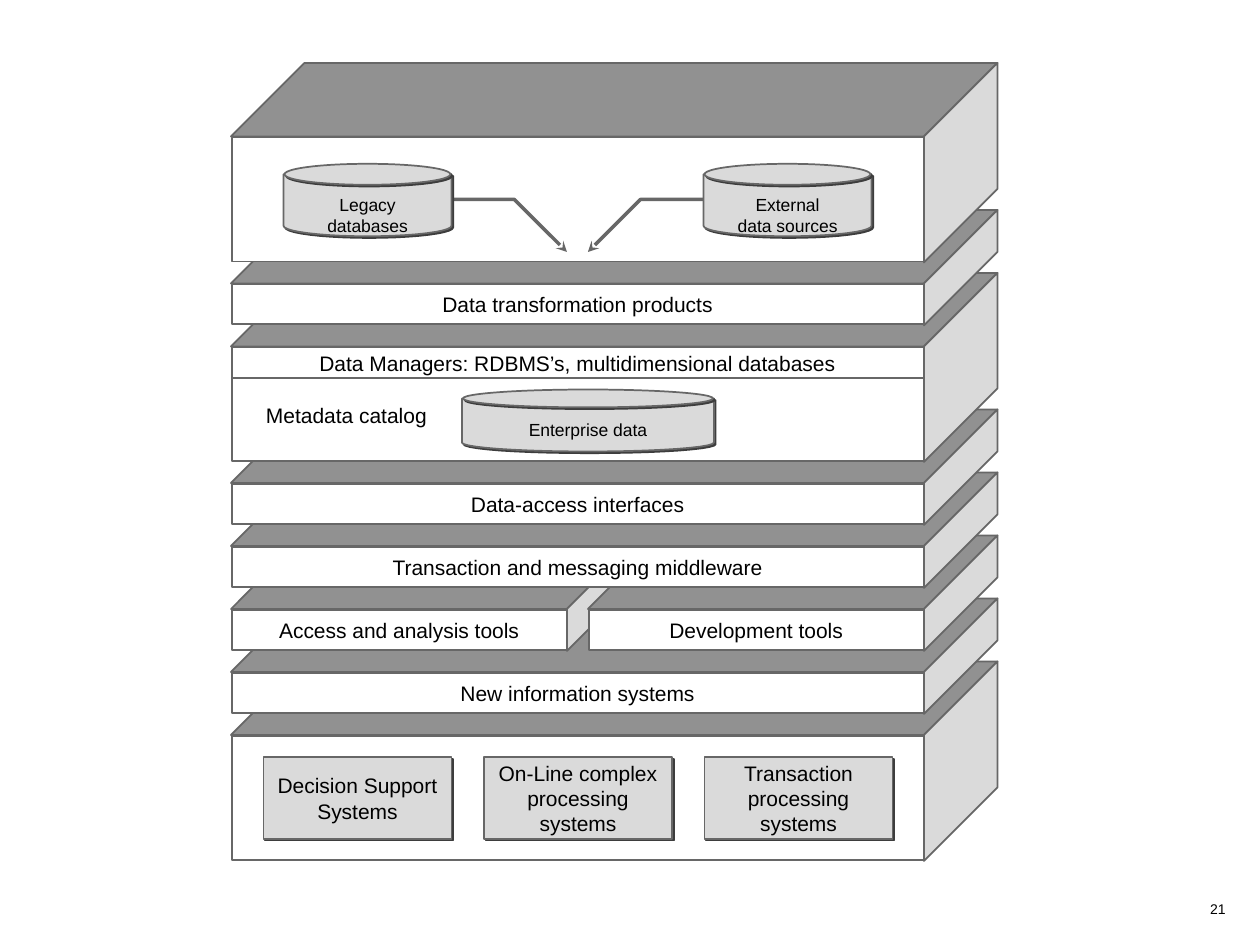
"""Build a layered data architecture slide from oblique slabs on a 120 by 90 grid."""
from dataclasses import dataclass
from math import cos, pi, sin

from lxml.etree import SubElement
from pptx import Presentation
from pptx.dml.color import RGBColor
from pptx.enum.shapes import MSO_SHAPE
from pptx.enum.text import MSO_ANCHOR, PP_ALIGN
from pptx.oxml.ns import qn
from pptx.util import Inches, Pt

COLORS = {"top": "919191", "side": "DADADA", "front": "FFFFFF",
          "line": "676767", "shadow": "3D3D3D", "text": "000000"}
FRAME = {"word_wrap": True, "vertical_anchor": MSO_ANCHOR.MIDDLE,
         "margin_left": Inches(0.05), "margin_right": Inches(0.05),
         "margin_top": Inches(0.05), "margin_bottom": Inches(0.05)}
COLS, ROWS = 120, 90
LEFT, WIDTH, DEPTH = 22, 66, 7
ARC_STEPS = 20

prs = Presentation()
prs.slide_width, prs.slide_height = Inches(10), Inches(7.5)
shapes = prs.slides.add_slide(prs.slide_layouts[6]).shapes


@dataclass
class Slab:
    row: float
    rows: float
    label: str = ""
    col: float = LEFT
    cols: float = WIDTH


@dataclass
class Cylinder:
    col: float
    row: float
    cols: float
    rows: float
    lid: float
    text_row: float
    label: str


def px(col: float) -> int:
    return round(prs.slide_width * col / COLS)


def py(row: float) -> int:
    return round(prs.slide_height * row / ROWS)


def style(sp, fill: str | None = None, weight: float = 1, shadow: bool = False) -> None:
    sp.shadow.inherit = False
    if fill:
        sp.fill.solid()
        sp.fill.fore_color.rgb = RGBColor.from_string(COLORS[fill])
    else:
        sp.fill.background()
    sp.line.color.rgb = RGBColor.from_string(COLORS["line"])
    sp.line.width = Pt(weight)
    if shadow:
        effects = sp._element.spPr.find(qn("a:effectLst"))
        outer = SubElement(effects, qn("a:outerShdw"), blurRad="0",
                           dist=str(Pt(1.4)), dir="2700000", rotWithShape="0")
        SubElement(outer, qn("a:srgbClr"), val=COLORS["shadow"])


def write(sp, text: str, size: float = 12) -> None:
    tf = sp.text_frame
    for name, value in FRAME.items():
        setattr(tf, name, value)
    tf.text = text
    for p in tf.paragraphs:
        p.alignment = PP_ALIGN.CENTER
        for r in p.runs:
            for name, value in {"name": "Arial", "size": Pt(size)}.items():
                setattr(r.font, name, value)
            r.font.color.rgb = RGBColor.from_string(COLORS["text"])


def add_text(col: float, row: float, cols: float, rows: float, text: str, size: float) -> None:
    write(shapes.add_textbox(px(col), py(row), px(cols), py(rows)), text, size)


def add_box(kind: MSO_SHAPE, col: float, row: float, cols: float, rows: float,
            fill: str | None, shadow: bool = False, label: str = "") -> None:
    sp = shapes.add_shape(kind, px(col), py(row), px(cols), py(rows))
    style(sp, fill, shadow=shadow)
    if label:
        write(sp, label)


def add_outline(points: list[tuple[float, float]], fill: str | None = None,
                weight: float = 1, shadow: bool = False, close: bool = True):
    spots = [(px(col), py(row)) for col, row in points]
    builder = shapes.build_freeform(*spots[0])
    builder.add_line_segments(spots[1:], close=close)
    sp = builder.convert_to_shape()
    style(sp, fill, weight, shadow)
    return sp


def draw_slab(s: Slab) -> None:
    right, back = s.col + s.cols, s.row - DEPTH
    add_outline([(s.col, s.row), (s.col + DEPTH, back), (right + DEPTH, back),
                 (right, s.row)], "top")
    add_outline([(right, s.row + s.rows), (right, s.row), (right + DEPTH, back),
                 (right + DEPTH, back + s.rows)], "side")
    add_box(MSO_SHAPE.RECTANGLE, s.col + 0.1, s.row + 0.1, s.cols - 0.15, s.rows - 0.2,
            "front", label=s.label)


def draw_cylinder(c: Cylinder) -> None:
    radius, half = c.cols / 2, c.lid / 2
    base = c.row + c.rows - half
    angles = [pi * i / ARC_STEPS for i in range(ARC_STEPS + 1)]
    arc = [(c.col + radius * (1 + cos(a)), base + half * sin(a)) for a in angles]
    top = c.row + half
    add_outline([(c.col + c.cols, top), *arc, (c.col, top)], "side", shadow=True)
    add_box(MSO_SHAPE.OVAL, c.col + 0.1, c.row, c.cols - 0.2, c.lid, "side", shadow=True)
    add_text(c.col, c.text_row, c.cols, 4, c.label, 10)


def draw_arrow(points: list[tuple[float, float]]) -> None:
    sp = add_outline(points, weight=2, close=False)
    SubElement(sp.line._get_or_add_ln(), qn("a:tailEnd"), type="stealth")


SLABS = [
    Slab(70, 12),
    Slab(64, 4, "New information systems"),
    Slab(58, 4, "Access and analysis tools", cols=32),
    Slab(58, 4, "Development tools", col=56, cols=32),
    Slab(52, 4, "Transaction and messaging middleware"),
    Slab(46, 4, "Data-access interfaces"),
    Slab(33, 11),
    Slab(27, 4, "Data transformation products"),
    Slab(13, 12),
]
SYSTEMS = ["Decision Support Systems", "On-Line complex processing systems",
           "Transaction processing systems"]
CYLINDERS = [
    Cylinder(44, 37.1, 24, 5.9, 1.7, 38.9, "Enterprise data"),
    Cylinder(27, 15.6, 16, 6.9, 2, 18.5, "Legacy\ndatabases"),
    Cylinder(67, 15.6, 16, 6.9, 2, 18.5, "External\ndata sources"),
]

for slab in SLABS:
    draw_slab(slab)
for i, system in enumerate(SYSTEMS):
    add_box(MSO_SHAPE.RECTANGLE, 25.1 + 21 * i, 72.1, 17.9, 7.8, "side", True, system)
add_box(MSO_SHAPE.RECTANGLE, LEFT + 0.1, 33.1, WIDTH - 0.15, 2.9, None,
        label="Data Managers: RDBMS’s, multidimensional databases")
add_text(23, 38, 20, 3, "Metadata catalog", 12)
draw_arrow([(43, 19), (49, 19), (54, 24)])
draw_arrow([(67, 19), (61, 19), (56, 24)])
for cylinder in CYLINDERS:
    draw_cylinder(cylinder)
add_text(114, 85.2, 4, 2.8, "21", 8)

prs.save("out.pptx")
